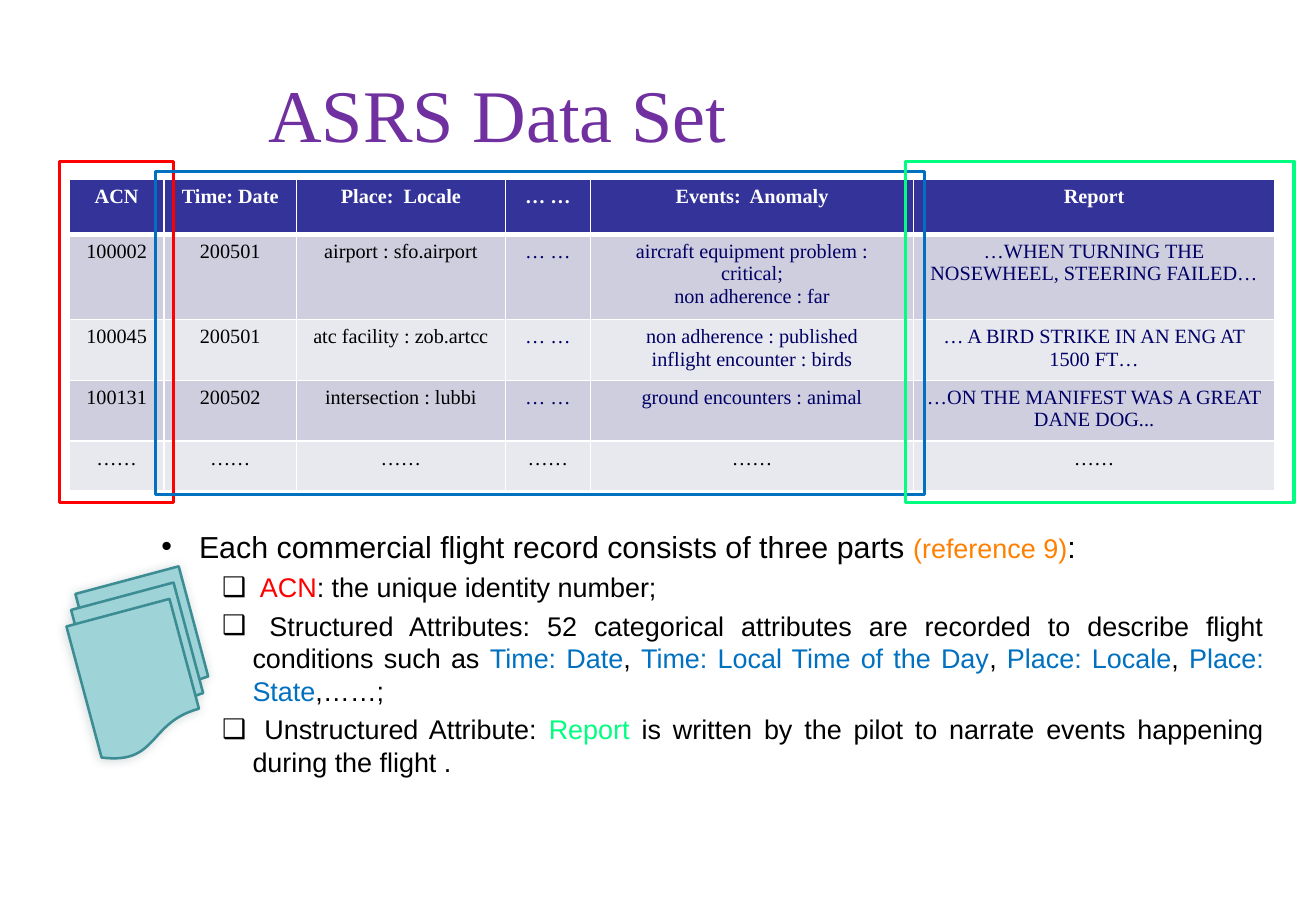
from dataclasses import dataclass
from typing import NamedTuple

from lxml import etree
from pptx import Presentation
from pptx import util as u
from pptx.dml.color import RGBColor
from pptx.enum import shapes, text
from pptx.oxml import ns

EMU_PER_PX = 9144  # 100 px to the inch

BLACK = RGBColor(0x00, 0x00, 0x00)
WHITE = RGBColor(0xFF, 0xFF, 0xFF)
PURPLE = RGBColor(0x70, 0x30, 0xA0)
ORANGE = RGBColor(0xFF, 0x80, 0x00)
RED = RGBColor(0xFF, 0x00, 0x00)
BLUE = RGBColor(0x00, 0x70, 0xC0)
GREEN = RGBColor(0x00, 0xFF, 0x80)
NAVY = RGBColor(0x00, 0x00, 0x66)
INDIGO = RGBColor(0x33, 0x33, 0x99)
BAND_DARK = RGBColor(0xCE, 0xCE, 0xDE)
BAND_LIGHT = RGBColor(0xE8, 0xE8, 0xEF)
PAPER = RGBColor(0x9E, 0xD3, 0xD7)
PAPER_EDGE = RGBColor(0x3C, 0x8C, 0x93)
PAPER_SHADOW = RGBColor(0x1E, 0x46, 0x49)

SERIF = "Times New Roman"
SANS = "Arial"


class Box(NamedTuple):
    left: int
    top: int
    width: int
    height: int

    def emu(self) -> list[u.Emu]:
        return [px(length) for length in self]


class Span(NamedTuple):
    text: str
    color: RGBColor = BLACK
    size: int = 16


class PartFrame(NamedTuple):
    box: Box
    color: RGBColor


@dataclass
class Bullet:
    spans: list[Span]
    mark: str = "❑"
    level: int = 2
    margin: int = 125
    hanging: int = 25
    align: text.PP_ALIGN = text.PP_ALIGN.JUSTIFY


TITLE_BOX = Box(211, 30, 818, 125)
BODY_BOX = Box(73, 430, 977, 256)
TABLE_BOX = Box(57, 148, 992, 247)
PAPERS_BOX = Box(65, 477, 102, 141)

COLUMN_WIDTHS = [78, 109, 172, 70, 266, 297]
ROW_HEIGHTS = [45, 67, 47, 47, 41]
FIRST_NAVY_COLUMN = 3
RECORDS = [
    ["ACN", "Time: Date", "Place:  Locale", "… …", "Events:  Anomaly", "Report"],
    ["100002", "200501", "airport : sfo.airport", "… …",
     "aircraft equipment problem : critical;\nnon adherence : far",
     "…WHEN TURNING THE NOSEWHEEL, STEERING FAILED…"],
    ["100045", "200501", "atc facility : zob.artcc", "… …",
     "non adherence : published\ninflight encounter : birds",
     "… A BIRD STRIKE IN AN ENG AT 1500 FT…"],
    ["100131", "200502", "intersection : lubbi", "… …",
     "ground encounters : animal", "…ON THE MANIFEST WAS A GREAT DANE DOG..."],
    ["……"] * 6,
]

PART_FRAMES = [
    PartFrame(Box(49, 133, 94, 281), RED),
    PartFrame(Box(128, 141, 633, 266), BLUE),
    PartFrame(Box(745, 133, 320, 281), GREEN),
]

BULLETS = [
    Bullet([Span("Each commercial flight record consists of three parts ", size=18),
            Span("(reference 9)", ORANGE), Span(":", size=18)],
           mark="•", level=1, margin=81, hanging=31, align=text.PP_ALIGN.LEFT),
    Bullet([Span(" "), Span("ACN", RED), Span(": the unique identity number;")]),
    Bullet([Span(" Structured Attributes: 52 categorical attributes are recorded "
                 "to describe flight conditions such as "),
            Span("Time: Date", BLUE), Span(", "),
            Span("Time: Local Time of the Day", BLUE), Span(", "),
            Span("Place: Locale", BLUE), Span(", "),
            Span("Place: State", BLUE), Span(",……;")]),
    Bullet([Span(" Unstructured Attribute: "), Span("Report", GREEN),
            Span(" is written by the pilot to narrate events happening "
                 "during the flight .")]),
]


def px(length: int) -> u.Emu:
    return u.Emu(length * EMU_PER_PX)


def add_title(slide) -> None:
    frame = slide.shapes.add_textbox(*TITLE_BOX.emu()).text_frame
    frame.word_wrap = True
    frame.vertical_anchor = text.MSO_ANCHOR.MIDDLE
    heading = frame.paragraphs[0]
    heading.text = "ASRS Data Set"
    heading.font.name, heading.font.size = SERIF, u.Pt(44)
    heading.font.color.rgb = PURPLE


def add_bullets(slide) -> None:
    frame = slide.shapes.add_textbox(*BODY_BOX.emu()).text_frame
    frame.word_wrap = True
    for index, bullet in enumerate(BULLETS):
        paragraph = frame.add_paragraph() if index else frame.paragraphs[0]
        paragraph.level, paragraph.alignment = bullet.level, bullet.align
        if index:
            paragraph.space_before = u.Pt(3.7)
        properties = paragraph._p.get_or_add_pPr()
        properties.set("marL", str(px(bullet.margin)))
        properties.set("indent", str(-px(bullet.hanging)))
        etree.SubElement(properties, ns.qn("a:buFont"), typeface=SANS)
        etree.SubElement(properties, ns.qn("a:buChar"), char=bullet.mark)
        paragraph.font.name = SANS
        for span in bullet.spans:
            run = paragraph.add_run()
            run.text = span.text
            run.font.size = u.Pt(span.size)
            run.font.color.rgb = span.color


def set_borders(cell, bottom_points: int) -> None:
    """Rule a cell in white; the borders must precede its fill."""
    properties = cell._tc.get_or_add_tcPr()
    for side, points in (("L", 1), ("R", 1), ("T", 1), ("B", bottom_points)):
        rule = etree.SubElement(properties, ns.qn(f"a:ln{side}"), w=str(u.Pt(points)))
        fill = etree.SubElement(rule, ns.qn("a:solidFill"))
        etree.SubElement(fill, ns.qn("a:srgbClr"), val=str(WHITE))


def record_color(row: int, column: int) -> RGBColor:
    if row == 0:
        return WHITE
    is_elided = row == len(RECORDS) - 1
    return NAVY if column >= FIRST_NAVY_COLUMN and not is_elided else BLACK


def add_records(slide) -> None:
    table = slide.shapes.add_table(
        len(RECORDS), len(COLUMN_WIDTHS), *TABLE_BOX.emu()).table
    for column, width in zip(table.columns, COLUMN_WIDTHS):
        column.width = px(width)
    for row, (record, height) in enumerate(zip(RECORDS, ROW_HEIGHTS)):
        table.rows[row].height = px(height)
        is_header = row == 0
        band = INDIGO if is_header else (BAND_LIGHT, BAND_DARK)[row % 2]
        for column, value in enumerate(record):
            cell = table.cell(row, column)
            set_borders(cell, 3 if is_header else 1)
            cell.fill.solid()
            cell.fill.fore_color.rgb = band
            cell.text = value
            for paragraph in cell.text_frame.paragraphs:
                paragraph.alignment = text.PP_ALIGN.CENTER
                font = paragraph.font
                font.name, font.size, font.bold = SERIF, u.Pt(12), is_header
                font.color.rgb = record_color(row, column)


def add_outlined(slide, kind: shapes.MSO_SHAPE, box: Box, color: RGBColor,
                 points: float):
    outlined = slide.shapes.add_shape(kind, *box.emu())
    outlined.shadow.inherit = False
    outlined.fill.background()
    outlined.line.color.rgb = color
    outlined.line.width = u.Pt(points)
    return outlined


def add_papers(slide) -> None:
    papers = add_outlined(slide, shapes.MSO_SHAPE.FLOWCHART_MULTIDOCUMENT,
                          PAPERS_BOX, PAPER_EDGE, 1.5)
    papers.rotation = -15
    papers.fill.solid()
    papers.fill.fore_color.rgb = PAPER
    effects = papers._element.spPr.find(ns.qn("a:effectLst"))
    shadow = etree.SubElement(effects, ns.qn("a:outerShdw"), blurRad=str(u.Pt(6)),
                              dist=str(u.Pt(1)), dir="8100000", rotWithShape="0")
    tint = etree.SubElement(shadow, ns.qn("a:srgbClr"), val=str(PAPER_SHADOW))
    etree.SubElement(tint, ns.qn("a:alpha"), val="20000")


def main() -> None:
    deck = Presentation()
    deck.slide_width, deck.slide_height = px(1083), px(750)
    slide = deck.slides.add_slide(deck.slide_layouts[6])
    add_title(slide)
    add_bullets(slide)
    add_records(slide)
    for part in PART_FRAMES:
        add_outlined(slide, shapes.MSO_SHAPE.RECTANGLE, part.box, part.color, 2)
    add_papers(slide)
    deck.save("out.pptx")


if __name__ == "__main__":
    main()
